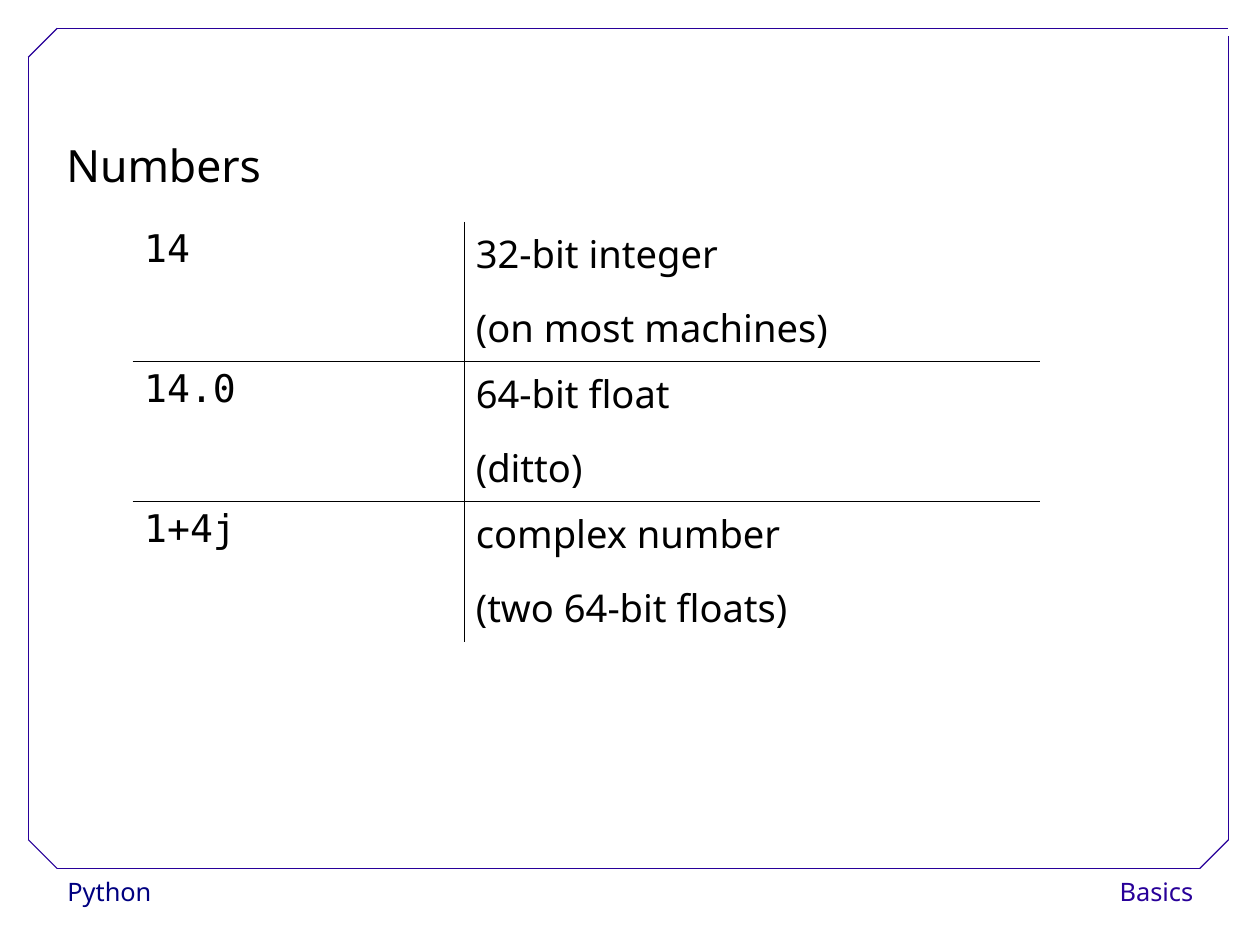
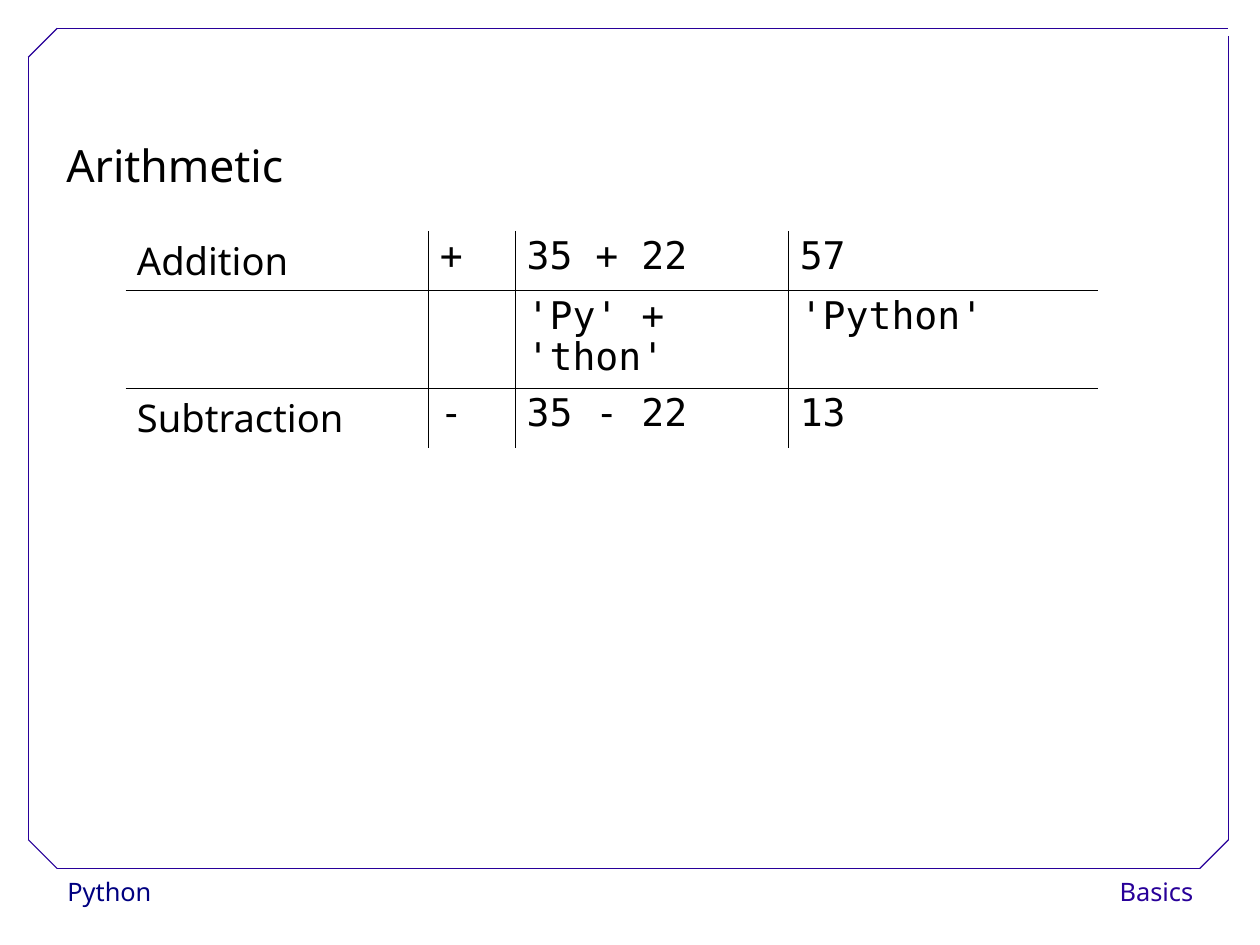
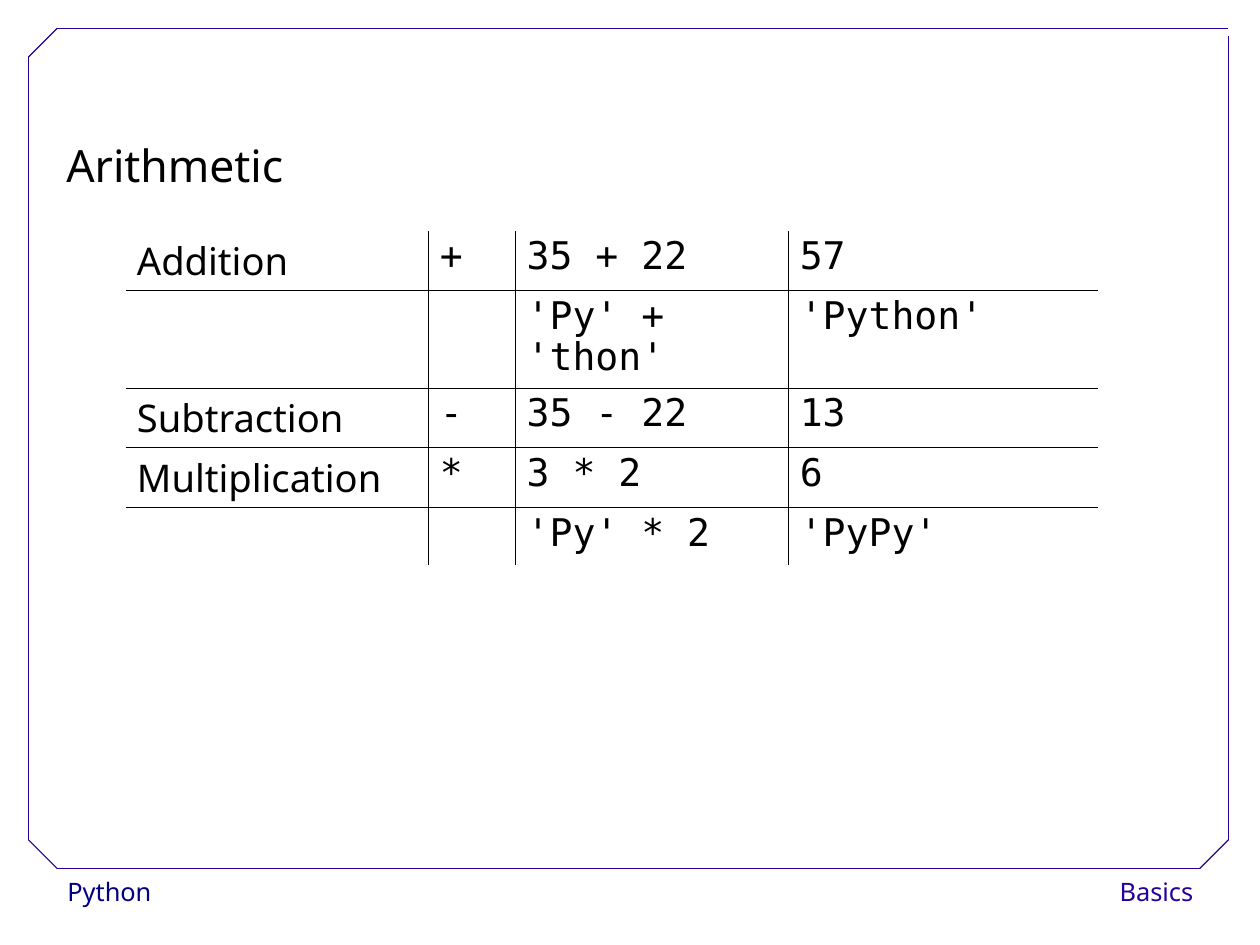
from lxml.etree import SubElement
from pptx import Presentation
from pptx.dml.color import RGBColor
from pptx.enum.shapes import MSO_CONNECTOR, MSO_SHAPE
from pptx.enum.text import MSO_ANCHOR, MSO_AUTO_SIZE, PP_ALIGN
from pptx.oxml.ns import qn
from pptx.util import Cm, Pt

BLACK = RGBColor(0x00, 0x00, 0x00)
WHITE = RGBColor(0xFF, 0xFF, 0xFF)
NAVY = RGBColor(0x00, 0x00, 0x80)
VIOLET = RGBColor(0x28, 0x00, 0x99)
SANS = "Noto Sans"
MONO = "DejaVu Sans Mono"

# Frame edges and the inner ends of its cut corners, in cm
LEFT, TOP, RIGHT, BOTTOM = 0.63, 0.63, 27.3, 19.3
CUT = 0.64
FRAME_LINES = [
    (LEFT + CUT, BOTTOM, RIGHT - CUT, BOTTOM),
    (LEFT, BOTTOM - CUT, LEFT, TOP + CUT),
    (LEFT + CUT, TOP, RIGHT, TOP),
    (RIGHT, BOTTOM - CUT, RIGHT, TOP + 0.18),
    (LEFT, TOP + CUT, LEFT + CUT, TOP),
    (RIGHT - CUT, BOTTOM, RIGHT, BOTTOM - CUT),
    (LEFT, BOTTOM - CUT, LEFT + CUT, BOTTOM),
]
# Text, left, width, alignment, colour
FOOTERS = [
    ("Python", 1.25, 5.46, PP_ALIGN.LEFT, NAVY),
    ("Basics", 23.21, 3.56, PP_ALIGN.RIGHT, VIOLET),
]

NUMBERS = [
    ("14", "32-bit integer\n(on most machines)"),
    ("14.0", "64-bit float\n(ditto)"),
    ("1+4j", "complex number\n(two 64-bit floats)"),
]
ARITHMETIC = [
    ("Addition", "+", "35 + 22", "57"),
    ("", "", "'Py' + 'thon'", "'Python'"),
    ("Subtraction", "-", "35 - 22", "13"),
    ("Multiplication", "*", "3 * 2", "6"),
    ("", "", "'Py' * 2", "'PyPy'"),
]
NUMBER_STYLE = {
    "left": 2.95, "top": 4.93, "widths": [7.37, 12.8],
    "heights": [3.11] * 3, "fonts": [MONO, SANS],
    "line_spacing": 1.0, "space_after": 14,
}
ARITHMETIC_STYLE = {
    "left": 2.79, "top": 5.13, "widths": [6.73, 1.93, 6.07, 6.88],
    "heights": [1.2, 2.16, 1.2, 1.2, 1.28], "fonts": [SANS, MONO, MONO, MONO],
    "line_spacing": 0.93, "space_after": 14.3,
}
SLIDES = [
    ("Numbers", NUMBERS, NUMBER_STYLE),
    ("Arithmetic", ARITHMETIC[:3], ARITHMETIC_STYLE),
    ("Arithmetic", ARITHMETIC, ARITHMETIC_STYLE),
]


def format_text(text_frame, font_name, size, color, line_spacing):
    for paragraph in text_frame.paragraphs:
        paragraph.line_spacing = line_spacing
        for run in paragraph.runs:
            run.font.name = font_name
            run.font.size = Pt(size)
            run.font.color.rgb = color


def set_borders(cell, visible_sides):
    """Draw thin black borders on the given sides (of "LRTB") and clear the rest."""
    properties = cell._tc.get_or_add_tcPr()
    for side in "LRTB":
        line = SubElement(properties, qn(f"a:ln{side}"), w=str(Pt(0.45)))
        if side in visible_sides:
            fill = SubElement(line, qn("a:solidFill"))
            SubElement(fill, qn("a:srgbClr"), val=str(BLACK))
        else:
            SubElement(line, qn("a:noFill"))


presentation = Presentation()
presentation.slide_width = Cm(28)
presentation.slide_height = Cm(21)
layout = presentation.slide_layouts[5]
for placeholder in list(layout.placeholders)[1:]:
    placeholder.element.getparent().remove(placeholder.element)

for slide_number, (title_text, rows, style) in enumerate(SLIDES):
    slide = presentation.slides.add_slide(layout)

    # Footers and frame are drawn on the first slide, then moved to the layout
    if slide_number == 0:
        for text, left, width, alignment, color in FOOTERS:
            footer = slide.shapes.add_shape(
                MSO_SHAPE.RECTANGLE, Cm(left), Cm(BOTTOM), Cm(width), Cm(1.02))
            footer.shadow.inherit = False
            footer.fill.solid()
            footer.fill.fore_color.rgb = WHITE
            footer.line.fill.background()
            footer.text_frame.text = text
            footer.text_frame.vertical_anchor = MSO_ANCHOR.MIDDLE
            footer.text_frame.paragraphs[0].alignment = alignment
            format_text(footer.text_frame, SANS, 16, color, 1.02)
            layout.shapes.element.append(footer.element)
        frame = slide.shapes.add_group_shape()
        for ends in FRAME_LINES:
            connector = frame.shapes.add_connector(
                MSO_CONNECTOR.STRAIGHT, *[Cm(end) for end in ends])
            connector.line.color.rgb = VIOLET
            connector.line.width = Pt(0.75)
            SubElement(connector.element.spPr, qn("a:effectLst"))
        layout.shapes.element.append(frame.element)

    title = slide.shapes.title
    title.left, title.top, title.width, title.height = Cm(1.22), Cm(2.34), Cm(7.87), Cm(2.03)
    title.text_frame.text = title_text
    title.text_frame.word_wrap = True
    title.text_frame.auto_size = MSO_AUTO_SIZE.NONE
    title.text_frame.vertical_anchor = MSO_ANCHOR.MIDDLE
    title.text_frame.paragraphs[0].alignment = PP_ALIGN.LEFT
    format_text(title.text_frame, SANS, 28, BLACK, 1.5)

    heights = style["heights"][:len(rows)]
    last_row, last_column = len(rows) - 1, len(style["widths"]) - 1
    table = slide.shapes.add_table(
        len(rows), len(style["widths"]), Cm(style["left"]), Cm(style["top"]),
        Cm(sum(style["widths"])), Cm(sum(heights))).table
    table.first_row = False
    table.horz_banding = False
    for column, width in zip(table.columns, style["widths"]):
        column.width = Cm(width)
    for row_index, (texts, height) in enumerate(zip(rows, heights)):
        table.rows[row_index].height = Cm(height)
        for column_index, (text, font_name) in enumerate(zip(texts, style["fonts"])):
            cell = table.cell(row_index, column_index)
            inner_sides = (("L" if column_index > 0 else "")
                           + ("R" if column_index < last_column else "")
                           + ("T" if row_index > 0 else "")
                           + ("B" if row_index < last_row else ""))
            set_borders(cell, inner_sides)
            cell.fill.background()
            cell.text_frame.text = text
            format_text(cell.text_frame, font_name, 24, BLACK, style["line_spacing"])
            for paragraph in cell.text_frame.paragraphs:
                paragraph.space_after = Pt(style["space_after"])

presentation.save("out.pptx")
